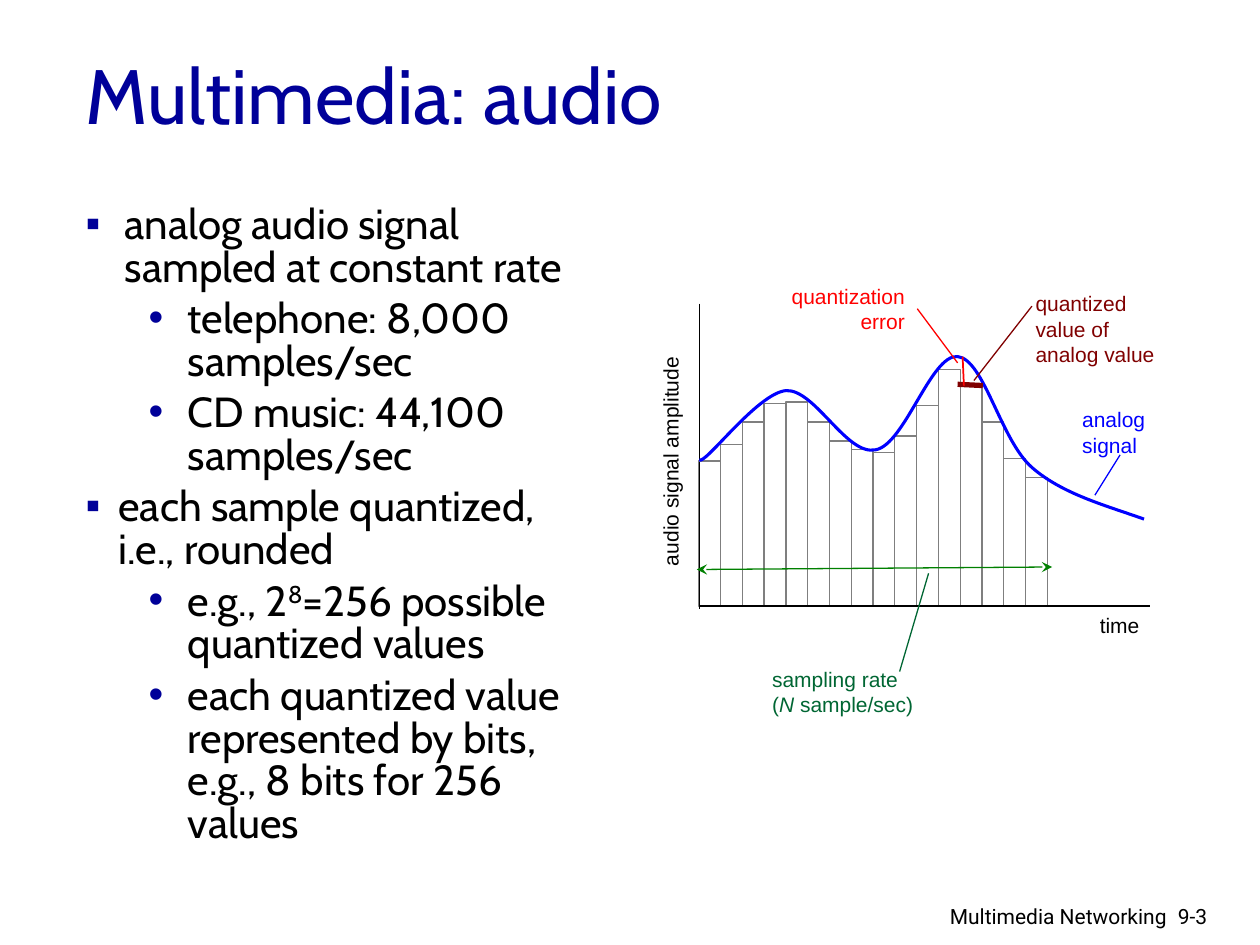
from dataclasses import dataclass

from lxml.etree import SubElement
from pptx import Presentation
from pptx.dml.color import RGBColor
from pptx.enum.shapes import MSO_CONNECTOR, MSO_SHAPE
from pptx.enum.text import MSO_ANCHOR, MSO_AUTO_SIZE, PP_ALIGN
from pptx.oxml.ns import qn
from pptx.util import Inches, Pt

# The page is a grid of 100 columns by 75 rows
CELL = Inches(0.1)
COLUMNS, ROWS = 100, 75

BLACK = RGBColor(0x00, 0x00, 0x00)
NAVY = RGBColor(0x00, 0x00, 0x99)
GRAY = RGBColor(0x7F, 0x7F, 0x7F)
BLUE = RGBColor(0x00, 0x00, 0xFF)
MAROON = RGBColor(0x80, 0x00, 0x00)
RED = RGBColor(0xFF, 0x00, 0x00)
GREEN = RGBColor(0x00, 0x80, 0x00)
DARK_GREEN = RGBColor(0x00, 0x66, 0x33)

# Level, hanging indent in columns, text; ^ marks a raised digit
BULLETS = [
    (0, 3.1, "analog audio signal sampled at constant rate"),
    (1, 3.1, "telephone: 8,000 samples/sec"),
    (1, 3.1, "CD music: 44,100 samples/sec"),
    (0, 2.6, "each sample quantized, i.e., rounded"),
    (1, 3.1, "e.g., 2^8^=256 possible quantized values"),
    (1, 3.1, "each quantized value represented by bits, e.g., 8 bits for 256 values"),
]

# Rows below the top of the chart box
BAR_TOPS = [14.6, 13.3, 11.5, 10, 9.9, 11.5, 13, 13.7,
            13.9, 12.6, 10.2, 7.3, 8.6, 11.5, 14.4, 15.9]
BAR_STEP = 1.73
BASELINE = 26.1
SIGNAL = [(0.5, 14.5),
          (0.9, 15), (5.1, 9.2), (7.4, 9),
          (9.7, 8.9), (12.2, 14.2), (14.5, 13.7),
          (16.8, 13.3), (18.9, 6.1), (21, 6.3),
          (23.1, 6.5), (24.4, 12.9), (26.9, 15.1),
          (29.3, 17.2), (32.7, 18.1), (35.8, 19.2)]


@dataclass
class Box:
    left: float
    top: float
    width: float
    height: float

    def inner(self, column, row, width, height):
        return Box(self.left + column, self.top + row, width, height)

    def point(self, column, row):
        return round((self.left + column) * CELL), round((self.top + row) * CELL)

    def place(self):
        return *self.point(0, 0), round(self.width * CELL), round(self.height * CELL)


def set_font(font, name, size, color):
    font.name, font.size, font.color.rgb = name, Pt(size), color


def move(shape, box):
    shape.left, shape.top, shape.width, shape.height = box.place()


def add_label(page, box, lines, color, align=PP_ALIGN.LEFT, font="Arial"):
    label = page.shapes.add_textbox(*box.place())
    frame = label.text_frame
    frame.word_wrap = True
    frame.text = "\n".join(lines)
    for para in frame.paragraphs:
        para.alignment = align
        set_font(para.font, font, 12, color)
    return label


def add_line(page, box, start, end, color, width=0.75, arrows=False):
    line = page.shapes.add_connector(
        MSO_CONNECTOR.STRAIGHT, *box.point(*start), *box.point(*end))
    line.line.color.rgb = color
    line.line.width = Pt(width)
    if arrows:
        outline = line._element.spPr.find(qn("a:ln"))
        for tag in ("a:headEnd", "a:tailEnd"):
            SubElement(outline, qn(tag), type="stealth")
    SubElement(line._element.spPr, qn("a:effectLst"))


def add_title(page, box):
    title = page.shapes.title
    move(title, box)
    frame = title.text_frame
    frame.text = "Multimedia: audio"
    frame.vertical_anchor = MSO_ANCHOR.MIDDLE
    frame.auto_size = MSO_AUTO_SIZE.NONE
    para = frame.paragraphs[0]
    para.alignment = PP_ALIGN.LEFT
    set_font(para.font, "Cabin", 44, NAVY)


def add_bullet(para, level, hang):
    properties = para._p.get_or_add_pPr()
    margin = hang + 5 * level
    properties.set("marL", str(round(margin * CELL)))
    properties.set("indent", str(round(-hang * CELL)))
    color = SubElement(properties, qn("a:buClr"))
    SubElement(color, qn("a:srgbClr"), val=str(NAVY))
    SubElement(properties, qn("a:buFont"), typeface="Arial")
    SubElement(properties, qn("a:buChar"), char="▪•"[level])


def add_bullet_list(page, box):
    body = page.placeholders[1]
    move(body, box)
    frame = body.text_frame
    frame.auto_size = MSO_AUTO_SIZE.NONE
    frame.vertical_anchor = MSO_ANCHOR.TOP
    for index, (level, hang, text) in enumerate(BULLETS):
        para = frame.add_paragraph() if index else frame.paragraphs[0]
        para.level = level
        add_bullet(para, level, hang)
        para.line_spacing = 0.85
        para.space_before = Pt(4.8 if index else 0)
        set_font(para.font, "Cabin", 24, BLACK)
        for order, piece in enumerate(text.split("^")):
            span = para.add_run()
            span.text = piece
            if order % 2:
                span.font._element.set("baseline", "30000")


def add_signal(page, box):
    points = [box.point(*pair) for pair in SIGNAL]
    builder = page.shapes.build_freeform(*points[0])
    builder.add_line_segments(points[1:], close=False)
    curve = builder.convert_to_shape()
    # Every three straight segments become one Bezier segment
    outline = curve._element.find(".//" + qn("a:path"))
    segments = outline.findall(qn("a:lnTo"))
    for first in range(0, len(segments), 3):
        bezier = SubElement(outline, qn("a:cubicBezTo"))
        for segment in segments[first:first + 3]:
            bezier.append(segment[0])
            outline.remove(segment)
    curve.fill.background()
    curve.line.color.rgb = BLUE
    curve.line.width = Pt(1.75)
    curve.shadow.inherit = False


def add_sampling_chart(page, box):
    # Axes and sample bars
    add_line(page, box, (0.5, 2.1), (0.5, 26.3), BLACK)
    for index, top in enumerate(BAR_TOPS):
        place = box.inner(0.45 + index * BAR_STEP, top, BAR_STEP, BASELINE - top)
        bar = page.shapes.add_shape(MSO_SHAPE.RECTANGLE, *place.place())
        bar.fill.background()
        bar.line.color.rgb = GRAY
        bar.line.width = Pt(0.75)
        bar.shadow.inherit = False
    add_line(page, box, (0.5, BASELINE), (36.3, BASELINE), BLACK)
    add_label(page, box.inner(31.3, 26.1, 5.2, 3), ["time"], BLACK)
    amplitude = add_label(page, box.inner(-11.2, 13, 18.8, 3),
                          ["audio signal amplitude"], BLACK)
    amplitude.rotation = 270

    # Analog signal
    add_label(page, box.inner(29.9, 9.8, 7.1, 5.1), ["analog", "signal"], BLUE)
    add_signal(page, box)
    add_line(page, box, (33.9, 14.1), (31.9, 17.3), BLUE)

    # Quantized value
    add_line(page, box, (21, 8.5), (23, 8.6), MAROON, 3)
    add_label(page, box.inner(26.2, 0.6, 12.8, 7.1),
              ["quantized value of", "analog value"], MAROON)
    add_line(page, box, (26.9, 2.3), (22.3, 8.2), MAROON)

    # Quantization error
    add_label(page, box.inner(5.7, 0, 12.1, 5.1),
              ["quantization error"], RED, PP_ALIGN.RIGHT)
    add_line(page, box, (21.4, 6.3), (21.5, 8.6), RED, 1)
    add_line(page, box, (17.8, 2.5), (21, 6.8), RED)

    # Sampling rate
    add_line(page, box, (0.3, 23.2), (28.5, 23), GREEN, arrows=True)
    rate = add_label(page, box.inner(5.3, 30.4, 18.7, 5),
                     ["sampling rate", "("], DARK_GREEN)
    unit = rate.text_frame.paragraphs[1]
    for text, italic in (("N ", True), ("sample/sec)", False)):
        span = unit.add_run()
        span.text = text
        span.font.italic = italic
    add_line(page, box, (16.4, 31.3), (18.7, 23.5), DARK_GREEN)


def add_footer(page, box):
    add_label(page, box.inner(20.5, 0, 7.5, 3), ["9-3"], BLACK, font="Roboto")
    add_label(page, box.inner(0, 0, 21.6, 2.8), ["Multimedia Networking"],
              BLACK, PP_ALIGN.RIGHT, "Roboto")


def main():
    deck = Presentation()
    deck.slide_width, deck.slide_height = COLUMNS * CELL, ROWS * CELL
    page = deck.slides.add_slide(deck.slide_layouts[1])
    add_title(page, Box(5.8, 1.2, 54.4, 12.5))
    add_bullet_list(page, Box(5.8, 15.8, 41.7, 50.8))
    add_sampling_chart(page, Box(55, 22, 39, 36))
    add_footer(page, Box(72, 71.2, 28, 3))
    deck.save("out.pptx")


if __name__ == "__main__":
    main()
